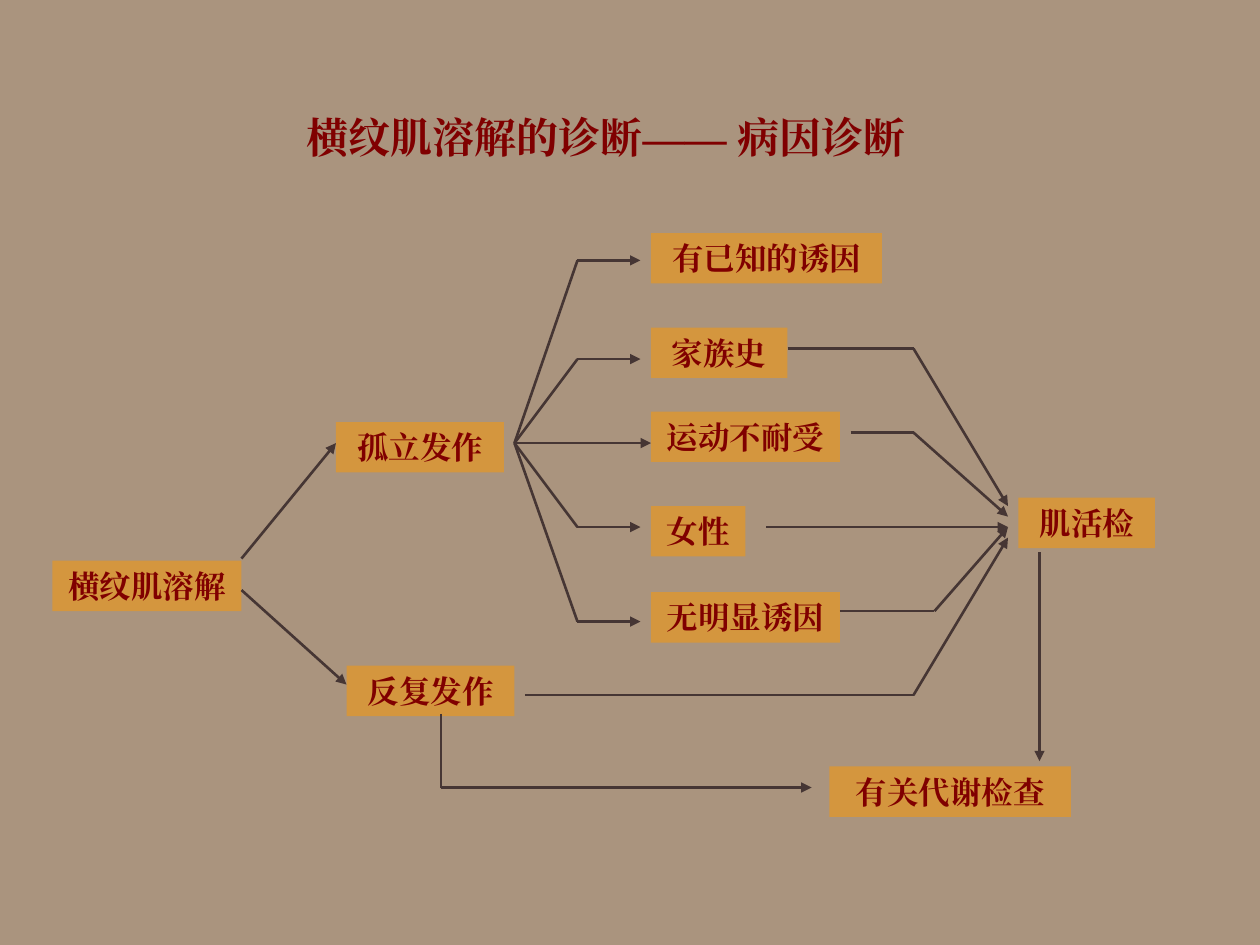
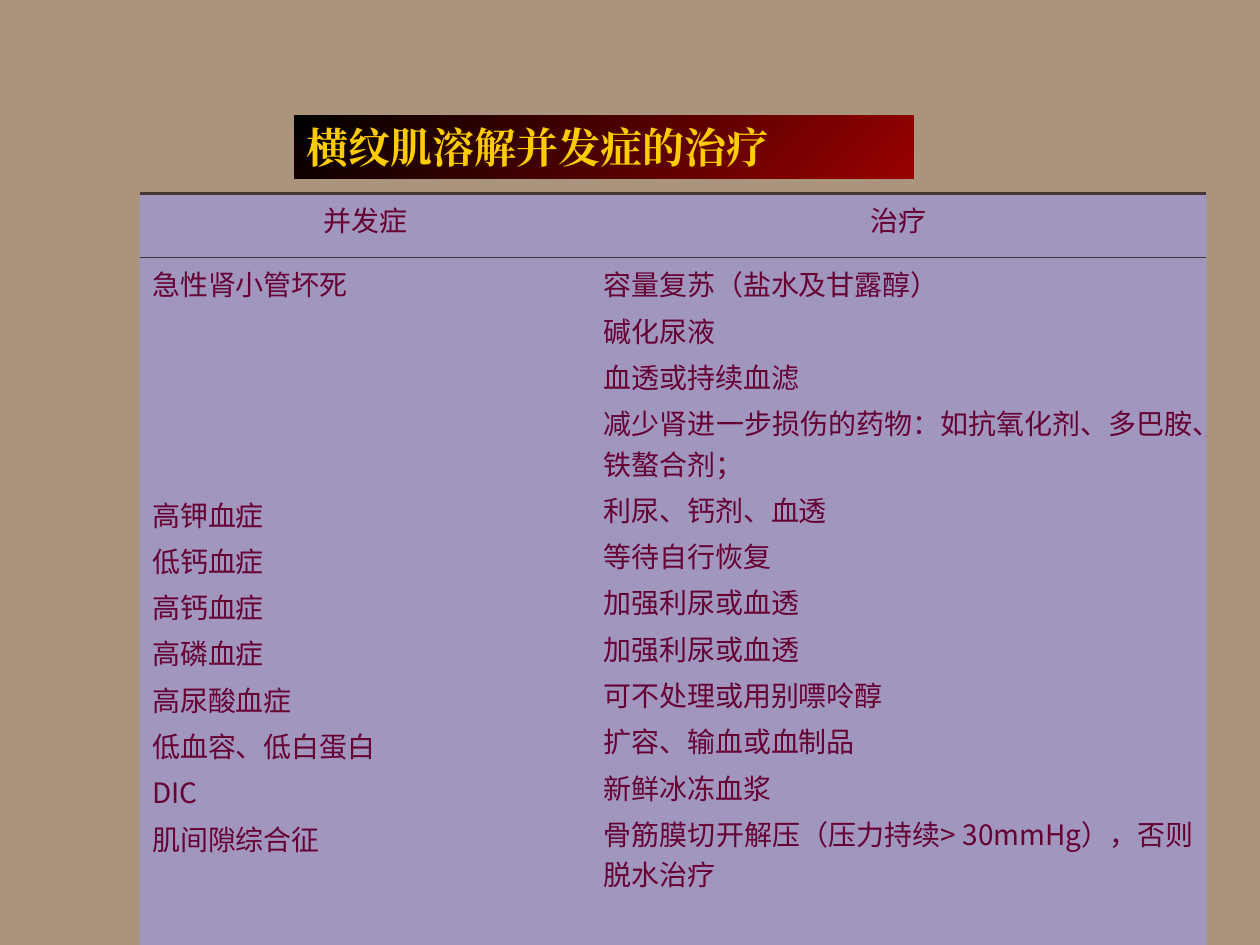
"""Build two slides on the diagnosis and treatment of rhabdomyolysis."""
from dataclasses import dataclass

from lxml import etree
from pptx import Presentation
from pptx import util as u
from pptx.dml.color import RGBColor
from pptx.enum import shapes, text
from pptx.oxml import parse_xml
from pptx.oxml.ns import nsdecls, qn


@dataclass(frozen=True)
class Theme:
    background: str = "AA947E"
    box: str = "FF9900"
    ink: str = "800000"
    line: str = "463634"
    banner_start: str = "000000"
    banner_end: str = "990000"
    banner_ink: str = "FFCC00"
    cell: str = "9999FF"
    cell_ink: str = "660033"
    display_font: str = "Times New Roman"
    table_font: str = "Noto Sans CJK SC"
    title_size: float = 24
    box_size: float = 18
    cell_size: float = 16
    line_width: float = 1.5
    outer_border: float = 2.25
    inner_border: float = 1
    paragraph_gap: float = 3.4


COLUMNS, ROWS = 120, 90
BOX_HEIGHT = 4.8
TITLE_HEIGHT = 6
TITLE_ONLY = 5
NO_TABLE_STYLE = "{2D5ABB26-0587-4C30-8999-92F81FD0307C}"

BOXES = [
    ("横纹肌溶解", 5, 53.4, 18),
    ("孤立发作", 32, 40.2, 16),
    ("反复发作", 33, 63.4, 16),
    ("有已知的诱因", 62, 22.2, 22),
    ("家族史", 62, 31.2, 13),
    ("运动不耐受", 62, 39.2, 18),
    ("女性", 62, 48.2, 9),
    ("无明显诱因", 62, 56.4, 18),
    ("肌活检", 97, 47.4, 13),
    ("有关代谢检查", 79, 73, 23),
]
ISOLATED_HUB = (49, 42.2)
BRANCH_ROWS = [24.8, 34.2, 50.2, 59.2]
ROUTES = [
    [(23, 53.2), (32, 42.2)],
    [(23, 56.2), (33, 65.2)],
    [ISOLATED_HUB, (62, 42.2)],
    [(75, 33.2), (87, 33.2), (96, 48.2)],
    [(81, 41.2), (87, 41.2), (96, 49.2)],
    [(73, 50.2), (96, 50.2)],
    [(80, 58.2), (89, 58.2), (96, 50.2)],
    [(50, 66.2), (87, 66.2), (96, 51.2)],
    [(42, 68), (42, 75), (77.3, 75)],
    [(99, 52.6), (99, 72.5)],
]

COMPLICATIONS = [
    "急性肾小管坏死", "高钾血症", "低钙血症", "高钙血症", "高磷血症",
    "高尿酸血症", "低血容、低白蛋白", "DIC", "肌间隙综合征",
]
TREATMENTS = [
    "容量复苏（盐水及甘露醇）", "碱化尿液", "血透或持续血滤",
    "减少肾进一步损伤的药物：如抗氧化剂、多巴胺、铁螯合剂；",
    "利尿、钙剂、血透", "等待自行恢复", "加强利尿或血透", "加强利尿或血透",
    "可不处理或用别嘌呤醇", "扩容、输血或血制品", "新鲜冰冻血浆",
    "骨筋膜切开解压（压力持续> 30mmHg），否则脱水治疗",
]
RENAL_GAP = {1: 108.5}


class Deck:
    """Holds the theme and the current slide, and adds each kind of element."""

    def __init__(self, theme):
        self.theme = theme
        self.presentation = Presentation()
        self.presentation.slide_width = u.Inches(10)
        self.presentation.slide_height = u.Inches(7.5)
        self.slide = None

    def x(self, columns):
        return round(self.presentation.slide_width * columns / COLUMNS)

    def y(self, rows):
        return round(self.presentation.slide_height * rows / ROWS)

    def new_slide(self):
        layout = self.presentation.slide_layouts[TITLE_ONLY]
        self.slide = self.presentation.slides.add_slide(layout)
        self.paint(self.slide.background.fill, self.theme.background)

    def paint(self, fill, color):
        fill.solid()
        fill.fore_color.rgb = RGBColor.from_string(color)

    def halve_opacity(self, properties):
        color = properties.find(qn("a:solidFill")).find(qn("a:srgbClr"))
        etree.SubElement(color, qn("a:alpha")).set("val", "50000")

    def format_text(self, paragraph, font_name, size, color, bold=False):
        for run in paragraph.runs:
            font = run.font
            font.name, font.size, font.bold = font_name, u.Pt(size), bold
            font.color.rgb = RGBColor.from_string(color)
            latin = run._r.rPr.find(qn("a:latin"))
            latin.addnext(parse_xml(f'<a:ea {nsdecls("a")} typeface="{font_name}"/>'))

    def label(self, shape, words, size, color, alignment):
        frame = shape.text_frame
        frame.text = words
        frame.word_wrap = True
        frame.auto_size = text.MSO_AUTO_SIZE.NONE
        frame.vertical_anchor = text.MSO_ANCHOR.MIDDLE
        frame.margin_top = frame.margin_bottom = 0
        paragraph = frame.paragraphs[0]
        paragraph.alignment = alignment
        self.format_text(paragraph, self.theme.display_font, size, color, bold=True)

    def title(self, words, left, top, width, color):
        title = self.slide.shapes.title
        title.left, title.top = self.x(left), self.y(top)
        title.width, title.height = self.x(width), self.y(TITLE_HEIGHT)
        self.label(title, words, self.theme.title_size, color, text.PP_ALIGN.LEFT)
        return title

    def banner(self, words, left, top, width):
        fill = self.title(words, left, top, width, self.theme.banner_ink).fill
        fill.gradient()
        fill.gradient_angle = 315
        ends = (self.theme.banner_start, self.theme.banner_end)
        for stop, position, color in zip(fill.gradient_stops, (0, 1), ends):
            stop.position = position
            stop.color.rgb = RGBColor.from_string(color)

    def box(self, words, left, top, width):
        box = self.slide.shapes.add_shape(
            shapes.MSO_SHAPE.RECTANGLE,
            self.x(left), self.y(top), self.x(width), self.y(BOX_HEIGHT))
        box.shadow.inherit = False
        box.line.fill.background()
        self.paint(box.fill, self.theme.box)
        self.halve_opacity(box._element.spPr)
        self.label(box, words, self.theme.box_size, self.theme.ink, text.PP_ALIGN.CENTER)

    def route(self, points):
        for start, end in zip(points, points[1:]):
            connector = self.slide.shapes.add_connector(
                shapes.MSO_CONNECTOR.STRAIGHT,
                self.x(start[0]), self.y(start[1]), self.x(end[0]), self.y(end[1]))
            connector.line.width = u.Pt(self.theme.line_width)
            connector.line.color.rgb = RGBColor.from_string(self.theme.line)
            etree.SubElement(connector._element.spPr, qn("a:effectLst"))
        line = connector._element.spPr.find(qn("a:ln"))
        etree.SubElement(line, qn("a:tailEnd")).set("type", "triangle")

    def border(self, side, width):
        return parse_xml(
            f'<a:{side} {nsdecls("a")} w="{u.Pt(width)}"><a:solidFill>'
            f'<a:srgbClr val="{self.theme.line}"/></a:solidFill></a:{side}>')

    def cell(self, cell, lines, alignment, top_border, bottom_border, gaps):
        self.paint(cell.fill, self.theme.cell)
        properties = cell._tc.tcPr
        self.halve_opacity(properties)
        properties.insert(0, self.border("lnT", top_border))
        properties.insert(1, self.border("lnB", bottom_border))
        cell.text_frame.text = "\n".join(lines)
        for index, paragraph in enumerate(cell.text_frame.paragraphs):
            paragraph.alignment = alignment
            if index:
                paragraph.space_before = u.Pt(gaps.get(index, self.theme.paragraph_gap))
            self.format_text(paragraph, self.theme.table_font,
                             self.theme.cell_size, self.theme.cell_ink)

    def table(self, left, top, widths, heights, headings, columns, gaps):
        table = self.slide.shapes.add_table(
            len(heights), len(widths), self.x(left), self.y(top),
            self.x(sum(widths)), self.y(sum(heights))).table
        table.first_row = table.horz_banding = False
        table._tbl.tblPr.find(qn("a:tableStyleId")).text = NO_TABLE_STYLE
        for row, height in zip(table.rows, heights):
            row.height = self.y(height)
        outer, inner = self.theme.outer_border, self.theme.inner_border
        for index, width in enumerate(widths):
            table.columns[index].width = self.x(width)
            self.cell(table.cell(0, index), [headings[index]],
                      text.PP_ALIGN.CENTER, outer, inner, {})
            self.cell(table.cell(1, index), columns[index],
                      text.PP_ALIGN.JUSTIFY, inner, outer, gaps[index])


def diagnosis_slide(deck):
    deck.new_slide()
    deck.title("横纹肌溶解的诊断—— 病因诊断", 28, 10, 60, deck.theme.ink)
    for words, left, top, width in BOXES:
        deck.box(words, left, top, width)
    for row in BRANCH_ROWS:
        deck.route([ISOLATED_HUB, (55, row), (61, row)])
    for points in ROUTES:
        deck.route(points)


def treatment_slide(deck):
    deck.new_slide()
    deck.table(13.3, 18.4, (43, 58.6), (6.1, 70.1), ("并发症", "治疗"),
               (COMPLICATIONS, TREATMENTS), (RENAL_GAP, {}))
    deck.banner("横纹肌溶解并发症的治疗", 28, 11, 59)


def main():
    deck = Deck(Theme())
    diagnosis_slide(deck)
    treatment_slide(deck)
    deck.presentation.save("out.pptx")


if __name__ == "__main__":
    main()
